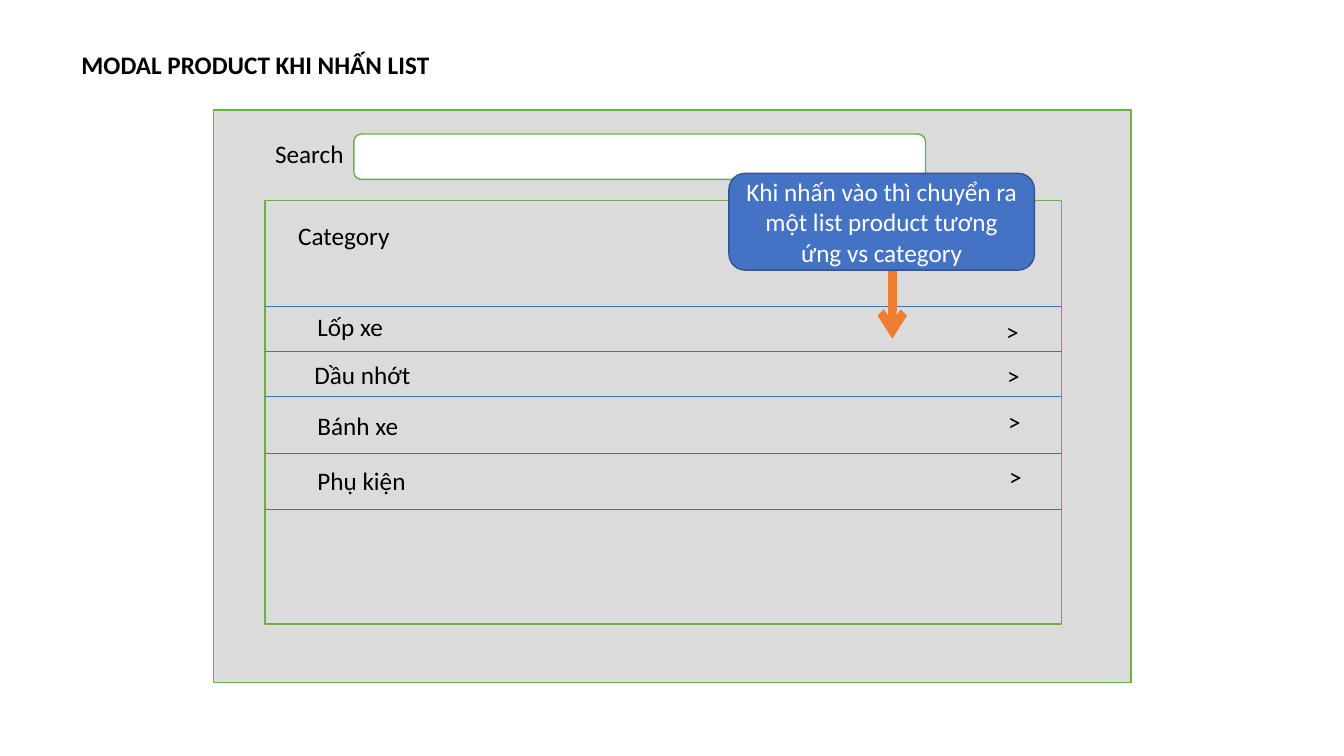
from lxml import etree
from pptx import Presentation, util as u
from pptx.dml.color import RGBColor
from pptx.enum import shapes, text
from pptx.oxml.ns import qn

BLACK, WHITE, GREY = "000000", "FFFFFF", "DBDBDB"
GREEN, BLUE, NAVY, ORANGE = "70AD47", "4472C4", "325491", "ED7D31"


def colour(value):
    return RGBColor.from_string(value)


class Wireframe:
    font, size = "Calibri", 18
    cell = u.Inches(0.1)

    def __init__(self, slide):
        self.slide = slide

    def span(self, *cells):
        return [round(count * self.cell) for count in cells]

    def set_words(self, shape, words, ink, bold=False):
        shape.text_frame.word_wrap = True
        shape.text_frame.text = words
        for run in shape.text_frame.paragraphs[0].runs:
            run.font.name, run.font.size = self.font, u.Pt(self.size)
            run.font.bold = bold
            run.font.color.rgb = colour(ink)

    def label(self, words, column, row, columns=13, bold=False):
        box = self.slide.shapes.add_textbox(*self.span(column, row, columns, 4))
        self.set_words(box, words, BLACK, bold)
        box.text_frame.auto_size = text.MSO_AUTO_SIZE.SHAPE_TO_FIT_TEXT

    def panel(self, column, row, columns, rows, fill, border, rounded=False):
        kind = shapes.MSO_SHAPE.ROUNDED_RECTANGLE if rounded else shapes.MSO_SHAPE.RECTANGLE
        shape = self.slide.shapes.add_shape(kind, *self.span(column, row, columns, rows))
        shape.shadow.inherit = False
        shape.fill.solid()
        shape.fill.fore_color.rgb = colour(fill)
        shape.line.color.rgb = colour(border)
        shape.line.width = u.Pt(1)
        return shape

    def callout(self, words, *place):
        shape = self.panel(*place, BLUE, NAVY, rounded=True)
        self.set_words(shape, words, WHITE)
        shape.text_frame.vertical_anchor = text.MSO_ANCHOR.MIDDLE
        shape.text_frame.paragraphs[0].alignment = text.PP_ALIGN.CENTER

    def line(self, start, end, ink, width, arrow=False):
        connector = self.slide.shapes.add_connector(
            shapes.MSO_CONNECTOR.STRAIGHT, *self.span(*start, *end))
        connector.line.color.rgb = colour(ink)
        connector.line.width = u.Pt(width)
        properties = connector._element.spPr
        if arrow:
            etree.SubElement(properties.find(qn("a:ln")), qn("a:tailEnd"), type="arrow")
        etree.SubElement(properties, qn("a:effectLst"))


def main():
    presentation = Presentation()
    presentation.slide_width, presentation.slide_height = u.Inches(13.33), u.Inches(7.5)
    slide = presentation.slides.add_slide(presentation.slide_layouts[6])
    wireframe = Wireframe(slide)

    wireframe.panel(21.2, 10.9, 91, 56.8, GREY, GREEN)
    wireframe.panel(35.1, 13.3, 56.7, 4.5, WHITE, GREEN, rounded=True)
    wireframe.label("Search", 26.3, 13.2)

    left, width = 26.3, 79
    wireframe.panel(left, 19.9, width, 42, GREY, GREEN)
    wireframe.label("Category", 28.6, 21.4)
    for row in (30.4, 34.9, 39.3, 45, 50.5):
        wireframe.line((left, row), (left + width, row), BLUE, 0.5)

    categories = [
        ("Lốp xe", 30.5, 30.4, 98.8, 30.9),
        ("Dầu nhớt", 30.2, 35.2, 98.9, 35.3),
        ("Bánh xe", 30.5, 40.2, 99, 39.8),
        ("Phụ kiện", 30.5, 45.7, 99.1, 45.3),
    ]
    for name, column, row, chevron_column, chevron_row in categories:
        wireframe.label(name, column, row)
        wireframe.label(">", chevron_column, chevron_row, columns=4)

    wireframe.line((88.5, 26.8), (88.5, 33.6), ORANGE, 6, arrow=True)
    wireframe.label("MODAL PRODUCT KHI NHẤN LIST", 7.1, 4.4, columns=51.3, bold=True)
    wireframe.callout("Khi nhấn vào thì chuyển ra một list product tương ứng vs category",
                      72.3, 17.2, 30.3, 9.6)
    presentation.save("out.pptx")


if __name__ == "__main__":
    main()
